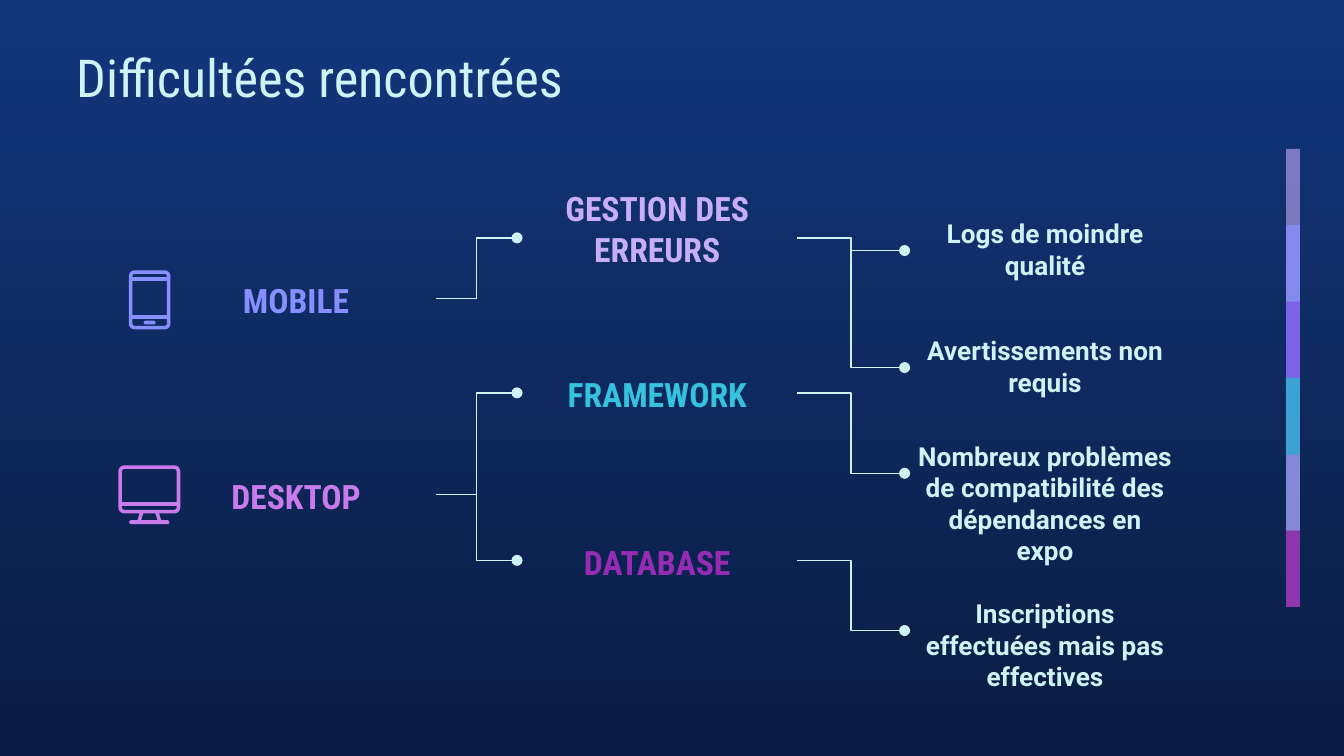
"""Build the slide that maps the difficulties met on mobile and desktop."""
from dataclasses import dataclass

from pptx import Presentation
from pptx.dml.color import RGBColor
from pptx.enum.shapes import MSO_CONNECTOR as Link, MSO_SHAPE as Preset
from pptx.enum.text import MSO_ANCHOR as Anchor, PP_ALIGN as Align
from pptx.oxml.ns import qn
from pptx.shapes.autoshape import Shape
from pptx.shapes.connector import Connector
from pptx.slide import Slide
from pptx.util import Pt
from lxml.etree import SubElement


@dataclass(frozen=True)
class Theme:
    sky: str = "13367C"
    night: str = "0A1D42"
    ice: str = "CEF3F5"
    lilac: str = "C8AEF8"
    periwinkle: str = "878FFF"
    violet: str = "9154F8"
    cyan: str = "35C2DF"
    orchid: str = "CA7BEB"
    purple: str = "972CB4"
    condensed: str = "Roboto Condensed"
    body: str = "Roboto"
    title_size: float = 28
    topic_size: float = 18
    detail_size: float = 14
    link_width: float = 0.75
    icon_width: float = 1.9


THEME = Theme()


@dataclass(frozen=True)
class Box:
    left: float
    top: float
    width: float
    height: float


@dataclass(frozen=True)
class Label:
    text: str
    box: Box
    color: str = THEME.ice
    size: float = THEME.topic_size
    font: str = THEME.condensed
    bold: bool = True
    align: Align = Align.CENTER
    anchor: Anchor = Anchor.BOTTOM


@dataclass(frozen=True)
class Band:
    color: str
    opacity: int


@dataclass(frozen=True)
class Icon:
    color: str
    frame: Box
    rounding: float
    pill: Box
    strokes: tuple[tuple[float, float, float, float], ...]


def source(text: str, top: float, color: str) -> Label:
    return Label(text, Box(83.5, top, 150.2, 37.4), color)


def topic(text: str, top: float, color: str, height: float = 37.4) -> Label:
    return Label(text, Box(277, top, 150.2, height), color)


def detail(text: str, top: float) -> Label:
    return Label(text, Box(484.6, top, 150.5, 49.7), size=THEME.detail_size,
                 font=THEME.body, anchor=Anchor.TOP)


TITLE = Label("Difficultées rencontrées", Box(33.8, 17.3, 607, 45.4), size=THEME.title_size,
              bold=False, align=Align.LEFT, anchor=Anchor.TOP)
LABELS = {
    "mobile": source("MOBILE", 141.1, THEME.periwinkle),
    "desktop": source("DESKTOP", 246.2, THEME.orchid),
    "errors": topic("GESTION DES ERREURS", 103.7, THEME.lilac, 47.5),
    "framework": topic("FRAMEWORK", 191.8, THEME.cyan),
    "database": topic("DATABASE", 281.5, THEME.purple),
    "logs": detail("Logs de moindre qualité", 109.4),
    "warnings": detail("Avertissements non requis", 172.1),
    "dependencies": detail("Nombreux problèmes de compatibilité des dépendances en expo", 228.7),
    "signups": detail("Inscriptions effectuées mais pas effectives", 313),
}
LINKS = (
    ("mobile", "errors"), ("desktop", "framework"), ("desktop", "database"),
    ("errors", "logs"), ("errors", "warnings"),
    ("framework", "dependencies"), ("database", "signups"),
)
BANDS = (
    Band(THEME.lilac, 59), Band(THEME.periwinkle, 74), Band(THEME.violet, 53),
    Band(THEME.cyan, 76), Band(THEME.orchid, 56), Band(THEME.purple, 74),
)
ICONS = (
    Icon(THEME.periwinkle, Box(70, 145.8, 20.4, 29.7), 0.1, Box(77, 171.8, 6.4, 2),
         ((70, 149.4, 90.4, 149.4), (70, 169.9, 90.4, 169.9))),
    Icon(THEME.orchid, Box(64.4, 250.3, 31.2, 23.8), 0.09, Box(69.2, 278.7, 21.6, 2.1),
         ((64.4, 270, 95.6, 270), (76, 274.2, 74.4, 279.5), (84, 274.2, 85.6, 279.5))),
)


def rgb(color: str) -> RGBColor:
    return RGBColor.from_string(color)


def draw_shape(slide: Slide, preset: Preset, box: Box) -> Shape:
    shape = slide.shapes.add_shape(preset, Pt(box.left), Pt(box.top), Pt(box.width), Pt(box.height))
    shape.shadow.inherit = False
    shape.line.fill.background()
    return shape


def fill_shape(shape: Shape, color: str) -> None:
    shape.fill.solid()
    shape.fill.fore_color.rgb = rgb(color)


def draw_connector(slide: Slide, kind: Link, ends: tuple[float, float, float, float],
                   color: str, width: float) -> Connector:
    connector = slide.shapes.add_connector(kind, *(Pt(end) for end in ends))
    connector.line.color.rgb = rgb(color)
    connector.line.width = Pt(width)
    SubElement(connector._element.spPr, qn("a:effectLst"))
    return connector


def draw_label(slide: Slide, label: Label) -> Shape:
    box = label.box
    caption = slide.shapes.add_textbox(Pt(box.left), Pt(box.top), Pt(box.width), Pt(box.height))
    frame = caption.text_frame
    frame.word_wrap = True
    frame.vertical_anchor = label.anchor
    frame.margin_left = frame.margin_right = frame.margin_top = frame.margin_bottom = Pt(7.2)
    paragraph = frame.paragraphs[0]
    paragraph.alignment = label.align
    run = paragraph.add_run()
    run.text = label.text
    run.font.name = label.font
    run.font.size = Pt(label.size)
    run.font.bold = label.bold
    run.font.color.rgb = rgb(label.color)
    return caption


def draw_link(slide: Slide, cause: Shape, effect: Shape) -> None:
    link = draw_connector(slide, Link.ELBOW, (0, 0, 0, 0), THEME.ice, THEME.link_width)
    link.begin_connect(cause, 3)
    link.end_connect(effect, 1)
    SubElement(link.line._get_or_add_ln(), qn("a:tailEnd"), type="oval")


def draw_bands(slide: Slide, bands: tuple[Band, ...]) -> None:
    step = 40.9
    for index, band in enumerate(bands):
        height = step * min(2, len(bands) - index)
        bar = draw_shape(slide, Preset.RECTANGLE, Box(689, 79.8 + index * step, 7.4, height))
        fill_shape(bar, band.color)
        tint = bar._element.spPr.find(".//" + qn("a:srgbClr"))
        SubElement(tint, qn("a:alpha"), val=str(band.opacity * 1000))


def draw_icon(slide: Slide, icon: Icon) -> None:
    frame = draw_shape(slide, Preset.ROUNDED_RECTANGLE, icon.frame)
    frame.adjustments[0] = icon.rounding
    frame.fill.background()
    frame.line.color.rgb = rgb(icon.color)
    frame.line.width = Pt(THEME.icon_width)
    for stroke in icon.strokes:
        draw_connector(slide, Link.STRAIGHT, stroke, icon.color, THEME.icon_width)
    pill = draw_shape(slide, Preset.ROUNDED_RECTANGLE, icon.pill)
    pill.adjustments[0] = 0.5
    fill_shape(pill, icon.color)


def main() -> None:
    deck = Presentation()
    deck.slide_width, deck.slide_height = Pt(720), Pt(405)
    slide = deck.slides.add_slide(deck.slide_layouts[6])
    backdrop = slide.background.fill
    backdrop.gradient()
    backdrop.gradient_angle = 270
    for stop, color in zip(backdrop.gradient_stops, (THEME.sky, THEME.night)):
        stop.color.rgb = rgb(color)

    draw_bands(slide, BANDS)
    draw_label(slide, TITLE)
    captions = {key: draw_label(slide, label) for key, label in LABELS.items()}
    for cause, effect in LINKS:
        draw_link(slide, captions[cause], captions[effect])
    for icon in ICONS:
        draw_icon(slide, icon)
    deck.save("out.pptx")


if __name__ == "__main__":
    main()
